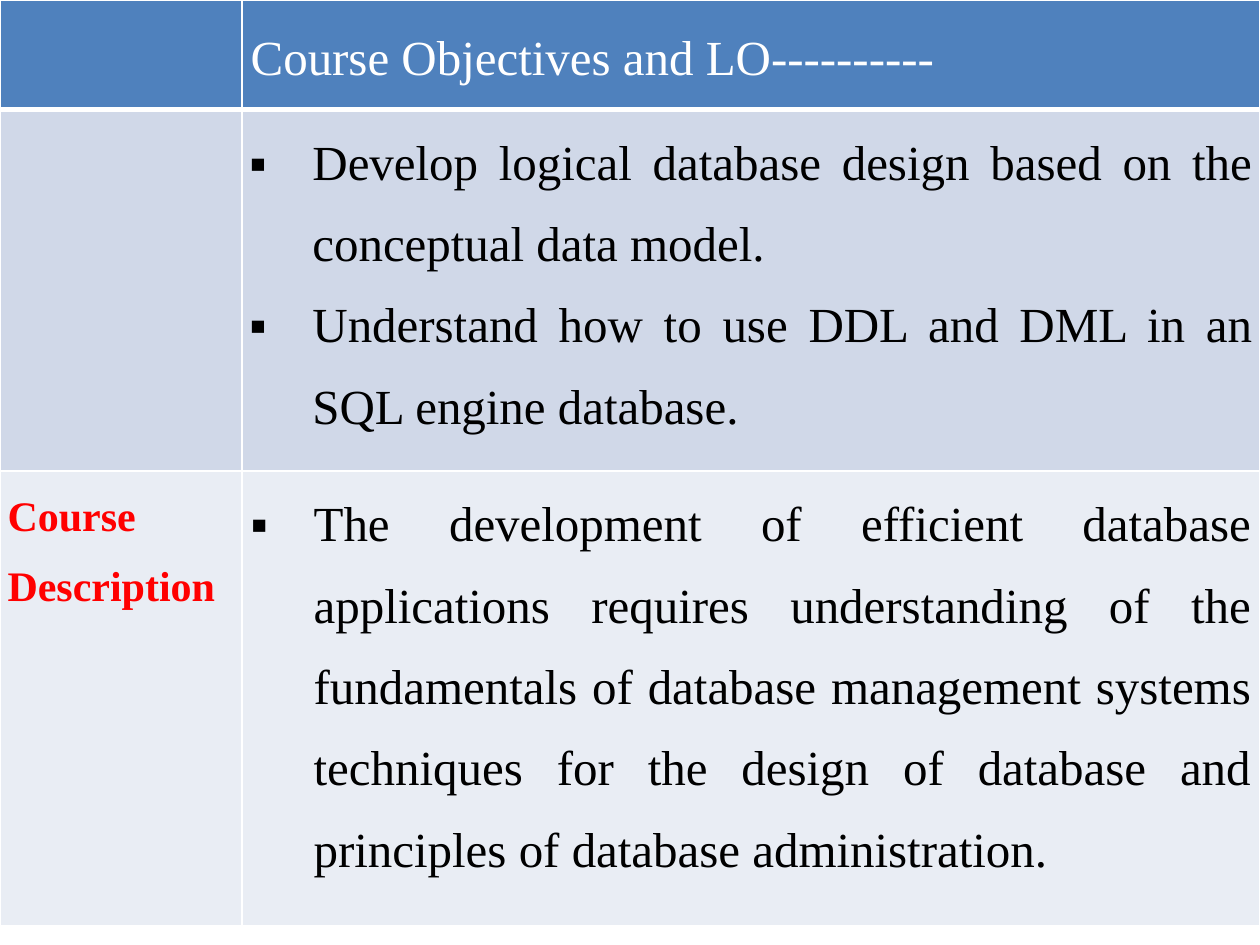
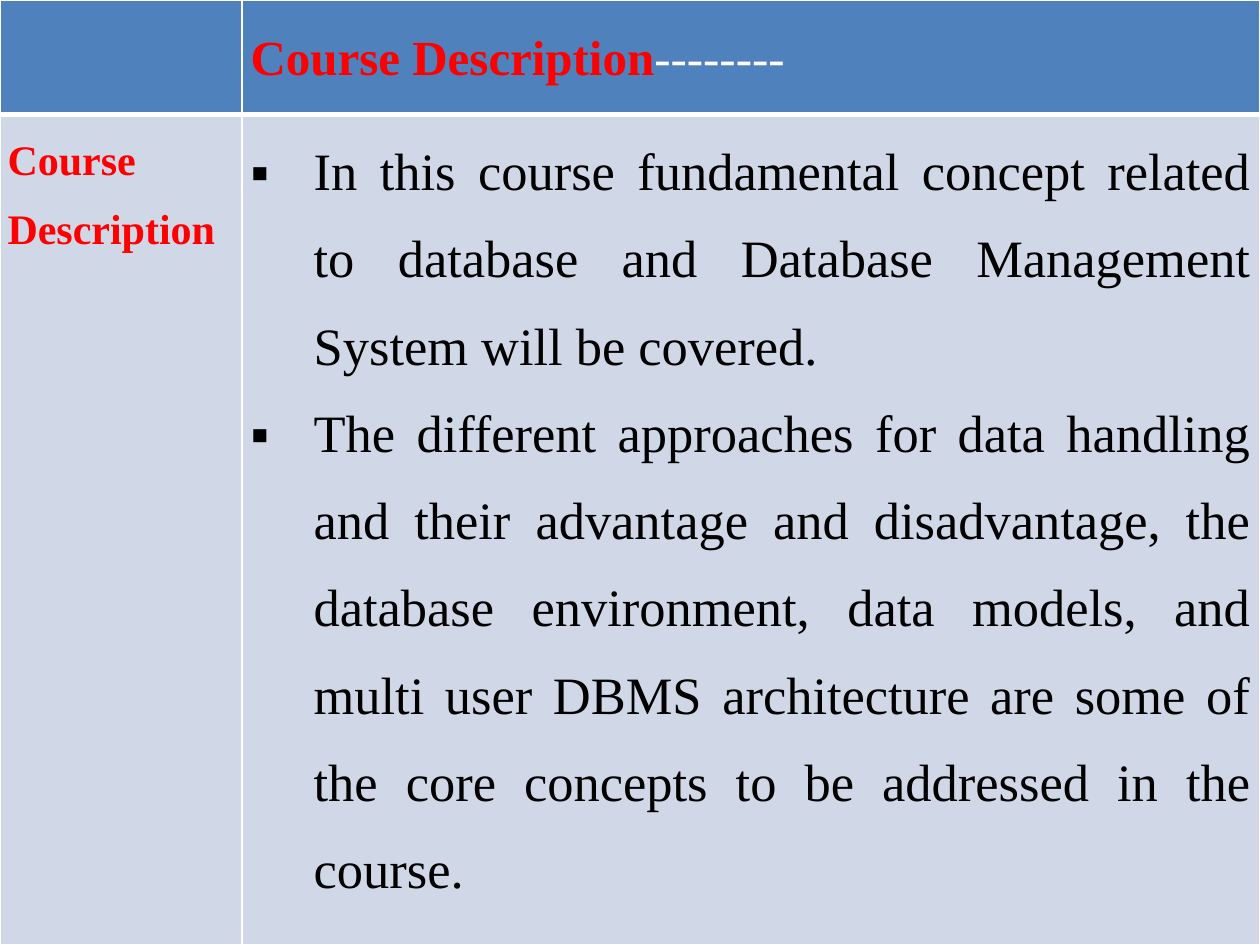
from dataclasses import dataclass

from lxml.etree import SubElement
from pptx import Presentation
from pptx.dml.color import RGBColor as RGB
from pptx.enum.text import PP_ALIGN as Align
from pptx.oxml.ns import qn
from pptx.util import Inches, Pt


@dataclass(frozen=True)
class Theme:
    """Colours, font, sizes and column widths shared by the slides."""
    font: str = "Times New Roman"
    head: str = "4F81BD"
    band: str = "D0D8E8"
    pale: str = "E9EDF4"
    white: str = "FFFFFF"
    black: str = "000000"
    red: str = "FF0000"
    label: int = 24
    body: int = 28
    large: int = 30
    cols: tuple = (1.92, 8.08)


T = Theme()


def add_edge(cell, side, width):
    """Draw one white border of a cell."""
    line = SubElement(cell._tc.get_or_add_tcPr(), qn(f"a:ln{side}"), w=str(Pt(width)))
    fill = SubElement(line, qn("a:solidFill"))
    SubElement(fill, qn("a:srgbClr"), val=T.white)


def style_cell(cell, fill, base=1, side=0.07, edge=0):
    """Set the borders, fill and margins of a cell."""
    for key, width in zip("LRTB", (1, 1, 1, base)):
        add_edge(cell, key, width)
    cell.fill.solid()
    cell.fill.fore_color.rgb = RGB.from_string(fill)
    cell.margin_left = cell.margin_right = Inches(side)
    cell.margin_top = cell.margin_bottom = Inches(edge)


def add_bullet(para):
    """Give a paragraph a square bullet with a hanging indent."""
    props = para._p.get_or_add_pPr()
    props.set("marL", str(Inches(0.5)))
    props.set("indent", str(-Inches(0.5)))
    SubElement(props, qn("a:buFont"), typeface=T.font)
    SubElement(props, qn("a:buChar"), char="▪")


def add_text(para, text, size=T.body, color=T.black, bold=False):
    """Add a formatted run to a justified paragraph."""
    para.alignment = Align.JUSTIFY
    para.line_spacing = 1.5
    run = para.add_run()
    run.text = text
    font = run.font
    font.name, font.size, font.bold = T.font, Pt(size), bold
    font.color.rgb = RGB.from_string(color)


def add_list(cell, items, size):
    """Fill a cell with bulleted paragraphs."""
    frame = cell.text_frame
    for num, item in enumerate(items):
        para = frame.add_paragraph() if num else frame.paragraphs[0]
        add_bullet(para)
        add_text(para, item, size=size)


def add_grid(deck, head, rows, heights, size=T.body, side=0.07):
    """Add a slide with a header row and rows of label and bullets."""
    slide = deck.slides.add_slide(deck.slide_layouts[6])
    grid = slide.shapes.add_table(len(heights), len(T.cols), 0, 0,
                                  Inches(sum(T.cols)), Inches(sum(heights))).table
    for col, width in zip(grid.columns, T.cols):
        col.width = Inches(width)
    for row, height in zip(grid.rows, heights):
        row.height = Inches(height)
    for cell in grid.rows[0].cells:
        style_cell(cell, T.head, base=3, edge=0.04)
    for text, style in head:
        add_text(grid.cell(0, 1).text_frame.paragraphs[0], text, **style)
    for num, (label, items) in enumerate(rows, 1):
        fill = T.band if num % 2 else T.pale
        name, body = grid.cell(num, 0), grid.cell(num, 1)
        style_cell(name, fill, side=0.06)
        style_cell(body, fill, side=0.07 if label else 0.06)
        if label:
            add_text(name.text_frame.paragraphs[0], label,
                     size=T.label, color=T.red, bold=True)
        add_list(body, items, size)


def main():
    """Build and save both slides."""
    deck = Presentation()
    deck.slide_width, deck.slide_height = Inches(10), Inches(7.5)
    label = "Course Description"
    plain = dict(color=T.white)

    add_grid(deck, [("Course Objectives and LO----------", plain)], [
        ("", ["Develop logical database design based on the conceptual data model.",
              "Understand how to use DDL and DML in an SQL engine database."]),
        (label, ["The development of efficient database applications requires "
                 "understanding of the fundamentals of database management systems "
                 "techniques for the design of database and principles of database "
                 "administration."]),
    ], (0.87, 2.87, 3.61))

    add_grid(deck, [(label, dict(color=T.red, bold=True)), ("--------", plain)], [
        (label, ["In this course fundamental concept related to database and "
                 "Database Management System will be covered.",
                 "The different approaches for data handling and their advantage and "
                 "disadvantage, the database environment, data models, and multi user "
                 "DBMS architecture are some of the core concepts to be addressed in "
                 "the course."]),
    ], (0.91, 6.59), size=T.large)

    deck.save("out.pptx")


if __name__ == "__main__":
    main()
